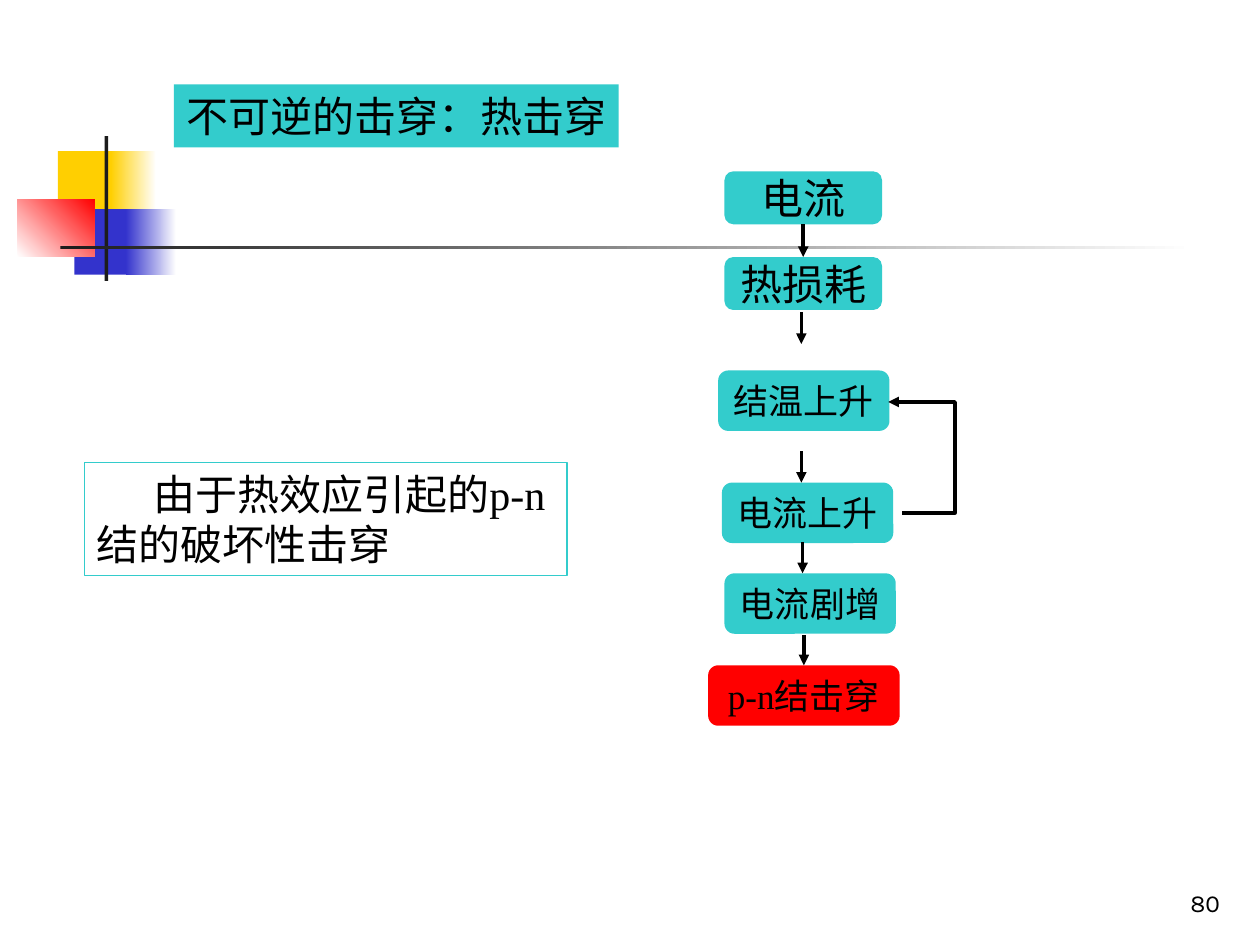
from dataclasses import dataclass

from lxml import etree
from pptx import Presentation
from pptx.dml.color import RGBColor
from pptx.enum.shapes import MSO_CONNECTOR, MSO_SHAPE
from pptx.enum.text import MSO_ANCHOR, PP_ALIGN
from pptx.oxml.ns import qn
from pptx.util import Inches, Pt

RECTANGLE = MSO_SHAPE.RECTANGLE
PROCESS = MSO_SHAPE.FLOWCHART_ALTERNATE_PROCESS
STRAIGHT = MSO_CONNECTOR.STRAIGHT
TOP, MIDDLE, BOTTOM = MSO_ANCHOR.TOP, MSO_ANCHOR.MIDDLE, MSO_ANCHOR.BOTTOM
LEFT, CENTER, RIGHT = PP_ALIGN.LEFT, PP_ALIGN.CENTER, PP_ALIGN.RIGHT
TOP_SIDE, BOTTOM_SIDE = 0, 2


@dataclass(frozen=True)
class Theme:
    ink: str = "000000"
    paper: str = "FFFFFF"
    teal: str = "33CCCC"
    red: str = "FF0000"
    yellow: str = "FFCF01"
    blue: str = "3333CC"
    charcoal: str = "1C1C1C"
    body_font: str = "Times New Roman"
    number_font: str = "Karla"
    large: int = 24
    medium: int = 20
    small: int = 14
    arrow_width: float = 2
    border_width: float = 0.75


THEME = Theme()


def color(value):
    return RGBColor.from_string(value)


def add_box(page, kind, bounds, fill=None, line=None):
    box = page.shapes.add_shape(kind, *map(Inches, bounds))
    box.shadow.inherit = False
    if fill:
        box.fill.solid()
        box.fill.fore_color.rgb = color(fill)
    else:
        box.fill.background()
    if line:
        box.line.color.rgb = color(line)
        box.line.width = Pt(THEME.border_width)
    else:
        box.line.fill.background()
    return box


def add_fade(page, bounds, start, end, angle=0):
    box = add_box(page, RECTANGLE, bounds)
    box.fill.gradient()
    box.fill.gradient_angle = angle
    for stop, value in zip(box.fill.gradient_stops, (start, end)):
        stop.color.rgb = color(value)


def write(box, text, size, font=THEME.body_font, align=CENTER, anchor=TOP, wrap=False, indent=0):
    frame = box.text_frame
    para = frame.paragraphs[0]
    span = para.add_run()
    span.text = text
    span.font.color.rgb = color(THEME.ink)
    formats = {
        frame: {"word_wrap": wrap, "vertical_anchor": anchor},
        para: {"alignment": align},
        span.font: {"name": font, "size": Pt(size)},
    }
    for target, values in formats.items():
        for name, value in values.items():
            setattr(target, name, value)
    if indent:
        para._p.get_or_add_pPr().set("indent", str(Inches(indent)))


def style_arrow(arrow):
    arrow.line.color.rgb = color(THEME.ink)
    arrow.line.width = Pt(THEME.arrow_width)
    head = etree.SubElement(arrow.line._get_or_add_ln(), qn("a:tailEnd"))
    head.set("type", "triangle")


def add_ornament(page, left, top):
    def at(x, y, width, height):
        return left + x, top + y, width, height

    add_box(page, RECTANGLE, at(0.32, 0.12, 0.48, 0.52), THEME.yellow)
    add_fade(page, at(0.74, 0.12, 0.36, 0.52), THEME.yellow, THEME.paper)
    add_box(page, RECTANGLE, at(0.45, 0.58, 0.46, 0.52), THEME.blue)
    add_fade(page, at(0.86, 0.58, 0.4, 0.52), THEME.blue, THEME.paper)
    add_fade(page, at(0, 0.5, 0.61, 0.46), THEME.paper, THEME.red, 45)
    add_box(page, RECTANGLE, at(0.69, 0, 0.03, 1.15), THEME.charcoal)
    add_fade(page, at(0.34, 0.87, 9, 0.03), THEME.charcoal, THEME.paper)


def add_title(page, bounds):
    box = add_box(page, RECTANGLE, bounds, THEME.teal)
    write(box, "不可逆的击穿：热击穿", THEME.large)


def add_definition(page, bounds):
    box = add_box(page, RECTANGLE, bounds, line=THEME.teal)
    write(box, "由于热效应引起的p-n结的破坏性击穿", THEME.large, align=LEFT, wrap=True, indent=0.45)


def add_page_number(page, bounds):
    box = page.shapes.add_textbox(*map(Inches, bounds))
    write(box, "80", THEME.small, THEME.number_font, RIGHT, BOTTOM, True)


def add_step(page, bounds, text, size, fill=THEME.teal):
    box = add_box(page, PROCESS, bounds, fill)
    write(box, text, size, anchor=MIDDLE)
    return box


def add_arrow(page, x, y, length=0.25, source=None, target=None):
    arrow = page.shapes.add_connector(STRAIGHT, *map(Inches, (x, y, x, y + length)))
    if source:
        arrow.begin_connect(source, BOTTOM_SIDE)
    if target:
        arrow.end_connect(target, TOP_SIDE)
    style_arrow(arrow)
    etree.SubElement(arrow._element.spPr, qn("a:effectLst"))


def add_feedback(page, left, top, width, height):
    right, bottom = left + width, top + height
    builder = page.shapes.build_freeform(Inches(left + 0.11), Inches(bottom), scale=1.0)
    corners = [(right, bottom), (right, top), (left, top)]
    builder.add_line_segments([(Inches(x), Inches(y)) for x, y in corners], close=False)
    loop = builder.convert_to_shape()
    loop.shadow.inherit = False
    loop.fill.background()
    style_arrow(loop)


def add_flow(page, left, top):
    steps = [
        (0.13, 0, 1.25, 0.42, "电流", THEME.large, THEME.teal),
        (0.13, 0.68, 1.25, 0.42, "热损耗", THEME.large, THEME.teal),
        (0.08, 1.58, 1.36, 0.48, "结温上升", THEME.medium, THEME.teal),
        (0.11, 2.47, 1.36, 0.48, "电流上升", THEME.medium, THEME.teal),
        (0.13, 3.19, 1.36, 0.48, "电流剧增", THEME.medium, THEME.teal),
        (0, 3.92, 1.52, 0.48, "p-n结击穿", THEME.medium, THEME.red),
    ]
    boxes = [
        add_step(page, (left + x, top + y, width, height), text, size, fill)
        for x, y, width, height, text, size, fill in steps
    ]
    add_arrow(page, left + 0.75, top + 0.42, source=boxes[0], target=boxes[1])
    for x, y in [(0.74, 1.12), (0.74, 2.22), (0.75, 2.94)]:
        add_arrow(page, left + x, top + y)
    add_arrow(page, left + 0.76, top + 3.68, target=boxes[-1])
    add_feedback(page, left + 1.43, top + 1.83, 0.53, 0.88)


def main():
    deck = Presentation()
    deck.slide_width, deck.slide_height = Inches(10), Inches(7.5)
    page = deck.slides.add_slide(deck.slide_layouts[6])
    add_ornament(page, 0.14, 1.08)
    add_page_number(page, (7.7, 6.83, 2.08, 0.5))
    add_title(page, (1.38, 0.67, 3.53, 0.5))
    add_definition(page, (0.67, 3.67, 3.83, 0.9))
    add_flow(page, 5.62, 1.36)
    deck.save("out.pptx")


if __name__ == "__main__":
    main()
